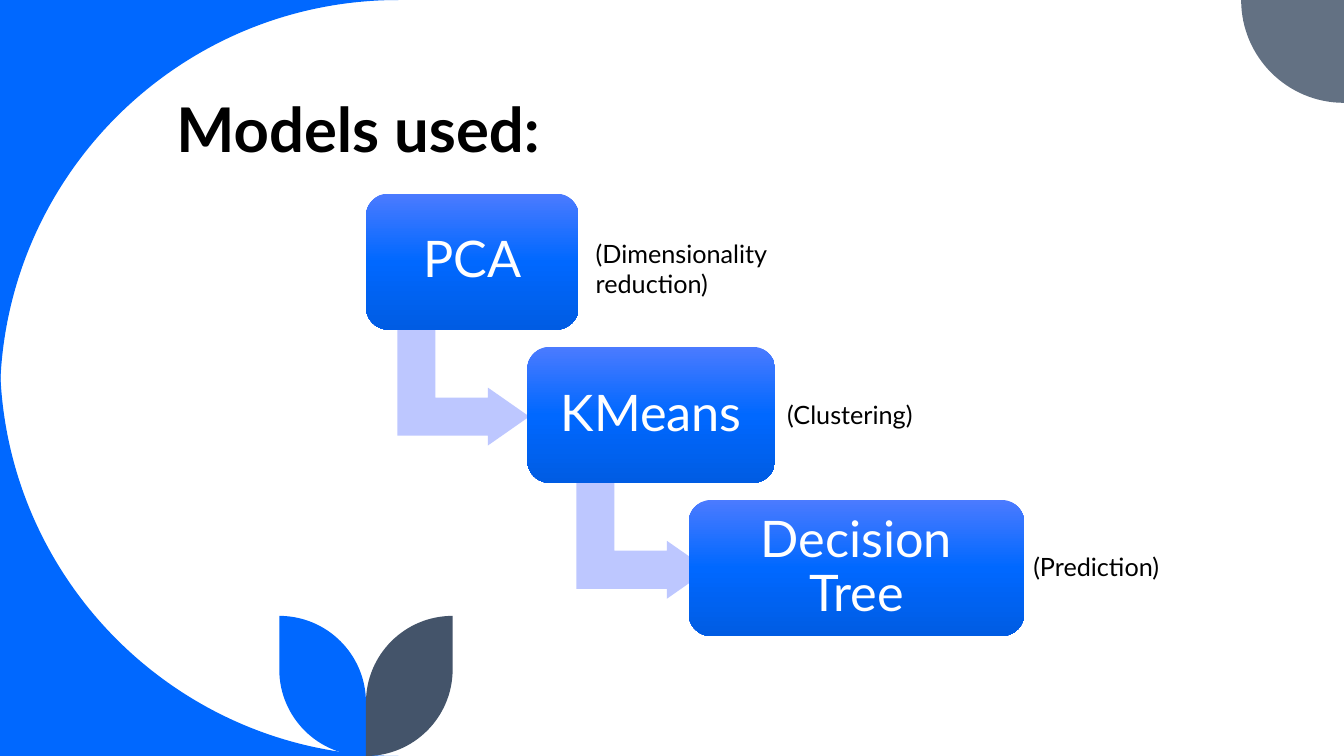
from copy import deepcopy

from lxml import etree
from pptx import Presentation, util as u
from pptx.dml.color import RGBColor
from pptx.enum import shapes, text
from pptx.oxml.ns import qn

FONT = "Lato"
WIDTH, HEIGHT = 13.33, 7.5
TITLE = "Models used:"
MODELS = [
    ("PCA", "(Dimensionality reduction)", 2.11, 0.07, 0.08),
    ("KMeans", "(Clustering)", 2.46, 0.02, 0),
    ("Decision Tree", "(Prediction)", 3.33, -0.01, 0.01),
]
BLUE, SLATE, NAVY, ARROW = "0068FF", "637183", "44546A", "BDC7FF"
BOX_GRADIENT = [(0, "4B7BFF"), (0.5, BLUE), (1, "005CE3")]

FIRST_LEFT, FIRST_TOP = 3.63, 1.92
STEP_X, STEP_Y = 1.6, 1.52
BOX_HEIGHT = 1.35
ARROW_WIDTH, ARROW_HEIGHT = 1.15, 1.31
ARROW_BENDS = (0.328, 0.25, 0.358)
CAPTION_WIDTH, CAPTION_HEIGHT = 2, 0.4
SWEEP, CORNER = 3.95, 1.02
LEAF_WIDTH, LEAF_HEIGHT, STEM = 0.86, 1.39, 3.63
ROUNDNESS = 0.552


def rgb(value):
    return RGBColor.from_string(value)


def frame(left, top, width, height):
    return [u.Inches(length) for length in (left, top, width, height)]


def plain(part, color):
    part.shadow.inherit = False
    part.fill.solid()
    part.fill.fore_color.rgb = rgb(color)
    part.line.fill.background()


def quarter(start, corner, end):
    pulls = [tuple(p + ROUNDNESS * (c - p) for p, c in zip(point, corner))
             for point in (start, end)]
    return pulls + [end]


def outline(start, segments, color):
    def emu(point):
        return tuple(u.Inches(length) for length in point)

    builder = slide.shapes.build_freeform(*emu(start), scale=1.0)
    builder.add_line_segments([emu(p) for segment in segments for p in segment], close=True)
    part = builder.convert_to_shape()
    lines = iter(part._element.xpath(".//a:lnTo"))
    for segment in segments:
        first = next(lines)
        if len(segment) == 3:
            first.tag = qn("a:cubicBezTo")
            for follower in (next(lines), next(lines)):
                first.append(follower[0])
                follower.getparent().remove(follower)
    plain(part, color)


def decorate():
    low = HEIGHT - SWEEP
    outline((0, 0), [[(SWEEP, 0)], quarter((SWEEP, 0), (0, 0), (0, SWEEP))], BLUE)
    outline((0, low), [quarter((0, low), (0, HEIGHT), (SWEEP, HEIGHT)), [(0, HEIGHT)]], BLUE)
    inner = WIDTH - CORNER
    outline((WIDTH, 0), [[(inner, 0)],
                         quarter((inner, 0), (inner, CORNER), (WIDTH, CORNER))], SLATE)
    top, waist, shoulder = HEIGHT - LEAF_HEIGHT, HEIGHT - LEAF_WIDTH, HEIGHT - LEAF_HEIGHT + LEAF_WIDTH
    for tip, color in ((STEM - LEAF_WIDTH, BLUE), (STEM + LEAF_WIDTH, NAVY)):
        outline((tip, top), [
            [(tip, waist)],
            quarter((tip, waist), (tip, HEIGHT), (STEM, HEIGHT)),
            [(STEM, shoulder)],
            quarter((STEM, shoulder), (STEM, top), (tip, top)),
        ], color)


def write(holder, words, size, color, spacing=1.0, align=text.PP_ALIGN.LEFT, bold=False):
    body = holder.text_frame
    body.text = words
    body.word_wrap = True
    line = body.paragraphs[0]
    line.alignment = align
    line.line_spacing = spacing
    line.font.name, line.font.size, line.font.bold = FONT, u.Pt(size), bold
    line.font.color.rgb = rgb(color)
    return body


def shade(box):
    box.fill.gradient()
    box.fill.gradient_angle = 270
    stop_list = box._element.spPr.xpath(".//a:gsLst")[0]
    stop_list.append(deepcopy(stop_list[0]))
    for stop, (position, color) in zip(box.fill.gradient_stops, BOX_GRADIENT):
        stop.position = position
        stop.color.rgb = rgb(color)


def add_model(index, name, caption, width, gap, lift):
    left, top = FIRST_LEFT + index * STEP_X, FIRST_TOP + index * STEP_Y
    if index < len(MODELS) - 1:
        arrow = slide.shapes.add_shape(
            shapes.MSO_SHAPE.BENT_UP_ARROW,
            *frame(left + (width - ARROW_WIDTH) / 2 - 0.09, top + 1.27, ARROW_WIDTH, ARROW_HEIGHT))
        arrow.rotation = 90
        for bend, share in enumerate(ARROW_BENDS):
            arrow.adjustments[bend] = share
        plain(arrow, ARROW)

    box = slide.shapes.add_shape(shapes.MSO_SHAPE.ROUNDED_RECTANGLE,
                                 *frame(left, top, width, BOX_HEIGHT))
    plain(box, BLUE)
    shade(box)
    body = write(box, name, 36, "FFFFFF", 0.9, text.PP_ALIGN.CENTER)
    body.vertical_anchor = text.MSO_ANCHOR.MIDDLE
    body.margin_left = body.margin_right = u.Inches(0.24)

    label = slide.shapes.add_textbox(*frame(
        left + width + gap, top + (BOX_HEIGHT - CAPTION_HEIGHT) / 2 - lift,
        CAPTION_WIDTH, CAPTION_HEIGHT))
    write(label, caption, 18, "000000")


deck = Presentation()
deck.slide_width, deck.slide_height = u.Inches(WIDTH), u.Inches(HEIGHT)
slide = deck.slides.add_slide(deck.slide_layouts[5])

decorate()
for index, model in enumerate(MODELS):
    add_model(index, *model)

title = slide.shapes.title
title.left, title.top, title.width, title.height = frame(1.65, 0.56, 6.8, 1.12)
heading = write(title, TITLE, 44, "000000", 0.8, bold=True)
heading.vertical_anchor = text.MSO_ANCHOR.BOTTOM
heading.auto_size = text.MSO_AUTO_SIZE.NONE

deck.save("out.pptx")
